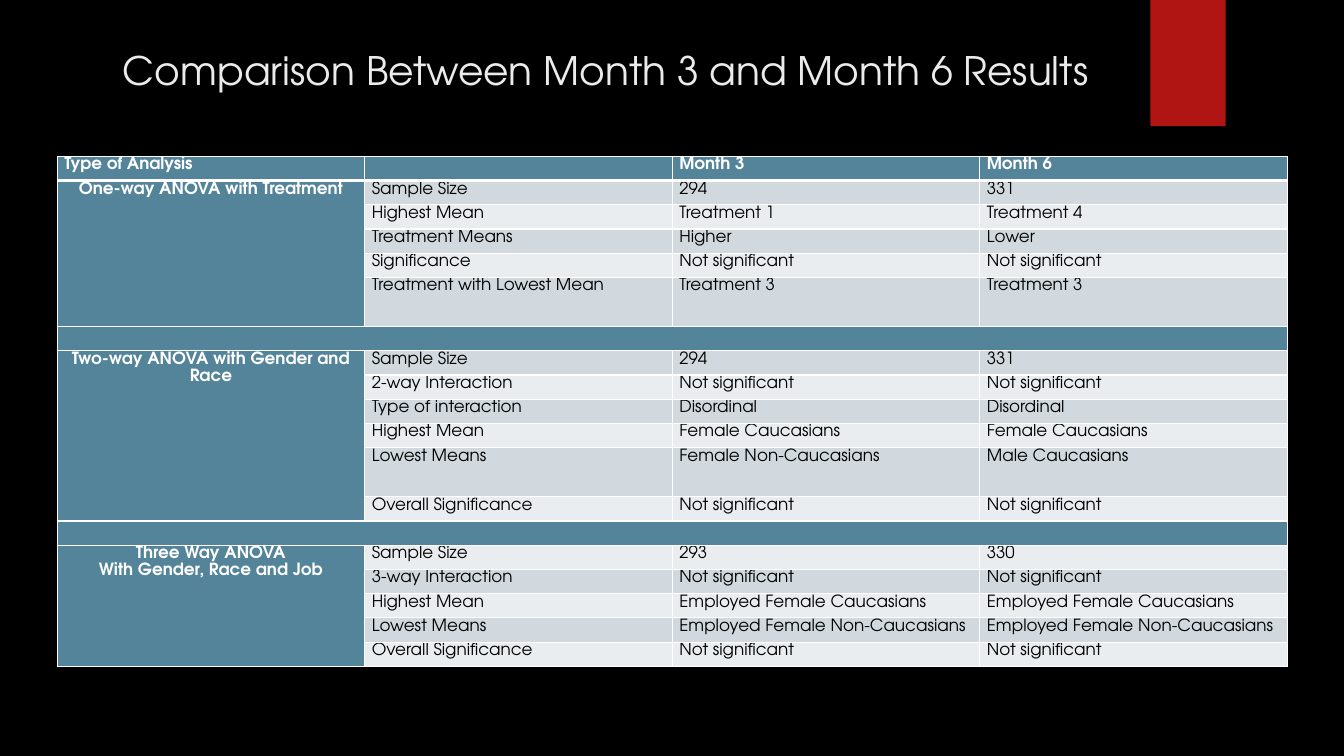
"""Build the slide that compares the Month 3 and Month 6 results."""
from dataclasses import dataclass
from lxml import etree
from pptx import Presentation
from pptx import util as u
from pptx.dml.color import RGBColor
from pptx.enum import shapes, text
from pptx.oxml import ns


@dataclass(frozen=True)
class Theme:
    font: str = "TeX Gyre Adventor"
    back: str = "000000"
    title: str = "EBEBEB"
    flag: str = "B01513"
    head: str = "54849A"
    dark: str = "D1D9DE"
    pale: str = "E9EDEF"
    white: str = "FFFFFF"
    black: str = "000000"
    big: int = 28
    small: int = 12


def write(para, words, size, color, bold=False):
    run = para.add_run()
    run.text = words
    run.font.name = look.font
    run.font.size = u.Pt(size)
    run.font.bold = bold
    run.font.color.rgb = RGBColor.from_string(color)


def edge(cell, low):
    props = cell._tc.get_or_add_tcPr()
    for spot, side in enumerate(("lnL", "lnR", "lnT", "lnB")):
        width = u.Pt(low if side == "lnB" else 1)
        line = etree.Element(ns.qn("a:" + side), w=str(width))
        fill = etree.SubElement(line, ns.qn("a:solidFill"))
        etree.SubElement(fill, ns.qn("a:srgbClr"), val=look.white)
        props.insert(spot, line)


look = Theme()
same = "Not significant"
groups = [
    (["One-way ANOVA with Treatment"], [
        ("Sample Size", "294", "331"),
        ("Highest Mean", "Treatment 1", "Treatment 4"),
        ("Treatment Means", "Higher", "Lower"),
        ("Significance", same, same),
        ("Treatment with Lowest Mean", "Treatment 3", "Treatment 3")]),
    (["Two-way ANOVA with Gender and Race"], [
        ("Sample Size", "294", "331"),
        ("2-way Interaction", same, same),
        ("Type of interaction", "Disordinal", "Disordinal"),
        ("Highest Mean", "Female Caucasians", "Female Caucasians"),
        ("Lowest Means", "Female Non-Caucasians", "Male Caucasians"),
        ("Overall Significance", same, same)]),
    (["Three Way ANOVA", "With Gender, Race and Job"], [
        ("Sample Size", "293", "330"),
        ("3-way Interaction", same, same),
        ("Highest Mean", "Employed Female Caucasians", "Employed Female Caucasians"),
        ("Lowest Means", "Employed Female Non-Caucasians", "Employed Female Non-Caucasians"),
        ("Overall Significance", same, same)]),
]

deck = Presentation()
deck.slide_width, deck.slide_height = u.Cm(33.87), u.Cm(19.05)
slide = deck.slides.add_slide(deck.slide_layouts[5])
slide.background.fill.solid()
slide.background.fill.fore_color.rgb = RGBColor.from_string(look.back)

flag = slide.shapes.add_shape(
    shapes.MSO_SHAPE.RECTANGLE, u.Cm(28.99), 0, u.Cm(1.9), u.Cm(3.18))
flag.shadow.inherit = False
flag.fill.solid()
flag.fill.fore_color.rgb = RGBColor.from_string(look.flag)
flag.line.fill.background()

title = slide.shapes.title
title.left, title.top = u.Cm(2.84), u.Cm(0.91)
title.width, title.height = u.Cm(26.14), u.Cm(1.7)
frame = title.text_frame
frame.auto_size = text.MSO_AUTO_SIZE.NONE
frame.vertical_anchor = text.MSO_ANCHOR.MIDDLE
frame.paragraphs[0].alignment = text.PP_ALIGN.LEFT
write(frame.paragraphs[0], "Comparison Between Month 3 and Month 6 Results",
      look.big, look.title)

rows = [(["Type of Analysis"], "", "Month 3", "Month 6")]
spans = []
for name, facts in groups:
    if spans:
        spans.append((len(rows), 0, len(rows), 3))
        rows.append(([], "", "", ""))
    spans.append((len(rows), 0, len(rows) + len(facts) - 1, 0))
    rows += [(name if n == 0 else [], *fact) for n, fact in enumerate(facts)]

table = slide.shapes.add_table(
    len(rows), 4, u.Cm(1.44), u.Cm(3.94), u.Cm(30.99), u.Cm(12.83)).table
tall = (5, 11)
for col in table.columns:
    col.width = u.Cm(7.75)
for r, row in enumerate(rows):
    table.rows[r].height = u.Cm(1.24 if r in tall else 0.61)
    for c, words in enumerate(row):
        cell = table.cell(r, c)
        plain = c > 0 and r > 0 and row[1] != ""
        band = look.dark if r % 2 else look.pale
        cell.fill.solid()
        cell.fill.fore_color.rgb = RGBColor.from_string(band if plain else look.head)
        cell.margin_left = cell.margin_right = u.Cm(0.18)
        cell.margin_top = cell.margin_bottom = 0
        edge(cell, 1 if r else 3)
        lines = words if c == 0 else [words]
        for n, line in enumerate(lines or [""]):
            para = cell.text_frame.paragraphs[0] if n == 0 else cell.text_frame.add_paragraph()
            para.line_spacing = 1.07
            para.font.size = u.Pt(look.small)
            if c == 0 and r > 0:
                para.alignment = text.PP_ALIGN.CENTER
            if line:
                write(para, line, look.small, look.black if plain else look.white, not plain)
for top, left, low, right in spans:
    table.cell(top, left).merge(table.cell(low, right))

deck.save("out.pptx")
